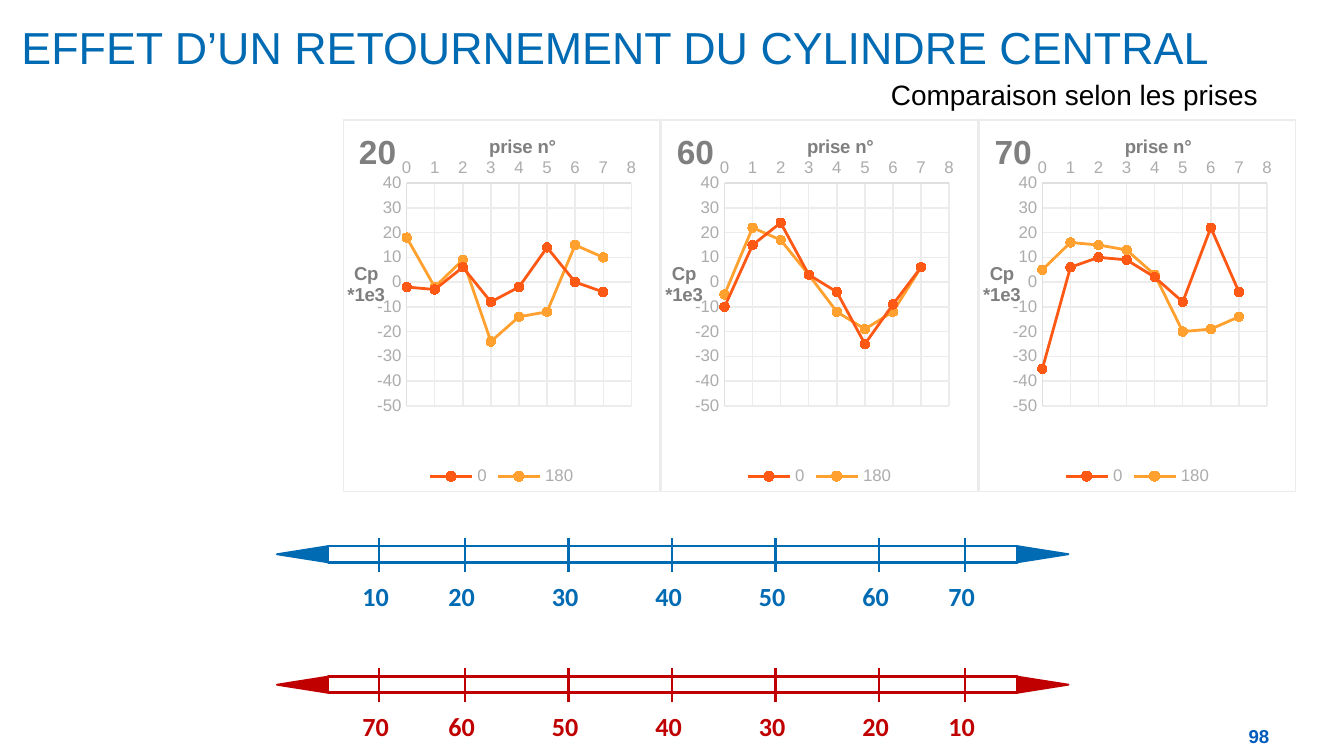
from lxml import etree
from pptx import Presentation
from pptx.chart.data import XyChartData
from pptx.dml.color import RGBColor
from pptx.enum.chart import (XL_AXIS_CROSSES, XL_CHART_TYPE, XL_LEGEND_POSITION,
                             XL_MARKER_STYLE, XL_TICK_LABEL_POSITION, XL_TICK_MARK)
from pptx.enum.shapes import MSO_CONNECTOR, MSO_SHAPE
from pptx.enum.text import MSO_ANCHOR, PP_ALIGN
from pptx.oxml import parse_xml
from pptx.oxml.ns import nsdecls, qn
from pptx.util import Inches, Pt

SCATTER = XL_CHART_TYPE.XY_SCATTER_LINES
BOTTOM = XL_LEGEND_POSITION.BOTTOM
CIRCLE = XL_MARKER_STYLE.CIRCLE
BESIDE = XL_TICK_LABEL_POSITION.NEXT_TO_AXIS
FIRST, LAST = XL_AXIS_CROSSES.MINIMUM, XL_AXIS_CROSSES.MAXIMUM
NONE = XL_TICK_MARK.NONE
STRAIGHT = MSO_CONNECTOR.STRAIGHT
RECT, WEDGE = MSO_SHAPE.RECTANGLE, MSO_SHAPE.ISOSCELES_TRIANGLE
TOP, MIDDLE = MSO_ANCHOR.TOP, MSO_ANCHOR.MIDDLE
LEFT, CENTER = PP_ALIGN.LEFT, PP_ALIGN.CENTER

BLUE = RGBColor(0x00, 0x6A, 0xB3)
NAVY = RGBColor(0x00, 0x5B, 0xBB)
RED = RGBColor(0xC0, 0x00, 0x00)
BLACK = RGBColor(0x00, 0x00, 0x00)
WHITE = RGBColor(0xFF, 0xFF, 0xFF)
GRAY = RGBColor(0x7F, 0x7F, 0x7F)
SILVER = RGBColor(0xAC, 0xAC, 0xAC)
EDGE = RGBColor(0xDF, 0xDF, 0xDF)
MESH = RGBColor(0xEC, 0xEC, 0xEC)
ORANGE = RGBColor(0xFE, 0x58, 0x15)
AMBER = RGBColor(0xFF, 0xA0, 0x2F)

WIDTH = Inches(10)
HEIGHT = WIDTH * 9 // 16
COL, ROW = WIDTH / 100, HEIGHT / 100

PANELS = {
    "20": ([-2, -3, 6, -8, -2, 14, 0, -4], [18, -2, 9, -24, -14, -12, 15, 10]),
    "60": ([-10, 15, 24, 3, -4, -25, -9, 6], [-5, 22, 17, 3, -12, -19, -12, 6]),
    "70": ([-35, 6, 10, 9, 2, -8, 22, -4], [5, 16, 15, 13, 3, -20, -19, -14]),
}
TURNS = (("0", ORANGE), ("180", AMBER))
MARKS = [28.2, *(50 + 7.7 * step for step in range(-2, 3)), 71.8]
DEPTHS = range(10, 80, 10)


def grid(x, y, w, h):
    return round(x * COL), round(y * ROW), round(w * COL), round(h * ROW)


def style(font, size, color, bold=False, name="Arial"):
    font.size, font.bold, font.name = Pt(size), bold, name
    font.color.rgb = color


def stroke(line, color, width):
    line.color.rgb = color
    line.width = Pt(width)


def add_text(shapes, area, text, size, color, bold=False, name="Arial",
             align=LEFT, anchor=TOP, wrap=True, pads=(0.1, 0.05, 0.1, 0.05)):
    frame = shapes.add_textbox(*grid(*area)).text_frame
    frame.word_wrap, frame.vertical_anchor = wrap, anchor
    (frame.margin_left, frame.margin_top,
     frame.margin_right, frame.margin_bottom) = map(Inches, pads)
    para = frame.paragraphs[0]
    para.alignment = align
    run = para.add_run()
    run.text = text
    style(run.font, size, color, bold, name)


def place(node, index, **parts):
    for old in node.findall(qn("c:layout")):
        node.remove(old)
    layout = parse_xml(f"<c:layout {nsdecls('c')}><c:manualLayout/></c:layout>")
    for key, value in parts.items():
        etree.SubElement(layout[0], qn("c:" + key)).set("val", str(value))
    node.insert(index, layout)


def add_title(title, lines, size, x, y):
    frame = title.text_frame
    for index, text in enumerate(lines):
        para = frame.add_paragraph() if index else frame.paragraphs[0]
        run = para.add_run()
        run.text = text
        style(run.font, size, GRAY, True)
    frame._txBody.bodyPr.set("rot", "0")
    place(title._element, 1, xMode="edge", yMode="edge", x=x, y=y)


def set_axis(axis, low, high, unit, cross):
    axis.minimum_scale, axis.maximum_scale, axis.major_unit = low, high, unit
    axis.major_tick_mark = axis.minor_tick_mark = NONE
    axis.tick_label_position = BESIDE
    axis.crosses = cross
    axis.has_major_gridlines = True
    stroke(axis.major_gridlines.format.line, MESH, 0.75)
    stroke(axis.format.line, EDGE, 0.75)
    style(axis.tick_labels.font, 9, SILVER)


def add_panel(shapes, area, name, values):
    data = XyChartData()
    for (turn, _), points in zip(TURNS, values):
        series = data.add_series(turn)
        for x, y in enumerate(points):
            series.add_data_point(x, y)
    chart = shapes.add_chart(SCATTER, *grid(*area), data).chart
    style(chart.font, 10, GRAY)
    chart._chartSpace.find(qn("c:txPr")).addprevious(parse_xml(
        f'<c:spPr {nsdecls("c", "a")}><a:solidFill><a:srgbClr val="{WHITE}"/>'
        f'</a:solidFill><a:ln w="{Pt(0.75)}"><a:solidFill><a:srgbClr val="{MESH}"/>'
        "</a:solidFill></a:ln></c:spPr>"))
    chart.has_title = True
    add_title(chart.chart_title, [name], 18, 0.03, 0.01)
    set_axis(chart.category_axis, 0, 8, 1, FIRST)
    set_axis(chart.value_axis, -50, 40, 10, LAST)
    add_title(chart.category_axis.axis_title, ["prise n°"], 10, 0.45, 0.03)
    add_title(chart.value_axis.axis_title, ["Cp", "*1e3"], 10, 0, 0.37)
    place(chart._chartSpace.chart.plotArea, 0, layoutTarget="inner", xMode="edge",
          yMode="edge", x=0.2, y=0.17, w=0.71, h=0.6)
    chart.has_legend = True
    chart.legend.position, chart.legend.include_in_layout = BOTTOM, False
    style(chart.legend.font, 9, SILVER)
    plot = chart.plots[0]
    plot.vary_by_categories = False
    for series, (_, color) in zip(plot.series, TURNS):
        series.smooth = False
        stroke(series.format.line, color, 1.5)
        series.marker.style, series.marker.size = CIRCLE, 5
        series.marker.format.fill.solid()
        series.marker.format.fill.fore_color.rgb = color
        stroke(series.marker.format.line, color, 0.75)


def add_form(shapes, kind, area, fill, color, width, turn=0):
    shape = shapes.add_shape(kind, *grid(*area))
    shape.shadow.inherit = False
    shape.fill.solid()
    shape.fill.fore_color.rgb = fill
    stroke(shape.line, color, width)
    shape.rotation = turn


def add_tick(shapes, x, low, high, color):
    x, low, _, high = grid(x, low, 0, high)
    line = shapes.add_connector(STRAIGHT, x, low, x, high)
    stroke(line.line, color, 1.5)
    etree.SubElement(line._element.spPr, qn("a:effectLst"))


def add_ruler(slide, mid, color, labels):
    shapes = slide.shapes.add_group_shape().shapes
    add_form(shapes, RECT, (24.4, mid - 1.07, 51.3, 2.14), WHITE, color, 1.5)
    for x, turn in ((22.5, 270), (77.6, 90)):
        add_form(shapes, WEDGE, (x - 0.6, mid - 3.38, 1.2, 6.76), color, color, 1, turn)
    for x, label in zip(MARKS, labels):
        add_tick(shapes, x, mid + 2.31, mid - 2.14, color)
        add_text(shapes, (x - 2.5, mid + 2.55, 4.5, 6.05), str(label), 14, color,
                 True, "Calibri", CENTER)


def main():
    deck = Presentation()
    deck.slide_width, deck.slide_height = WIDTH, HEIGHT
    slide = deck.slides.add_slide(deck.slide_layouts[6])
    shapes = slide.shapes
    add_text(shapes, (92.5, 95.9, 2.9, 3.02), "98", 10, NAVY, True,
             anchor=MIDDLE, wrap=False, pads=(0.04, 0, 0, 0))
    add_text(shapes, (1.2, 2.67, 95.3, 16.73),
             "EFFET D’UN RETOURNEMENT DU CYLINDRE CENTRAL", 24, BLUE,
             pads=(0.04, 0, 0.04, 0))
    for index, (name, values) in enumerate(PANELS.items()):
        add_panel(shapes, (25.5 + 23.65 * index, 15.8, 23.65, 49.29), name, values)
    add_text(shapes, (65.3, 9.43, 40.4, 6.23), "Comparaison selon les prises", 15, BLACK)
    add_ruler(slide, 73.31, BLUE, DEPTHS)
    add_ruler(slide, 90.57, RED, reversed(DEPTHS))
    deck.save("out.pptx")


if __name__ == "__main__":
    main()
